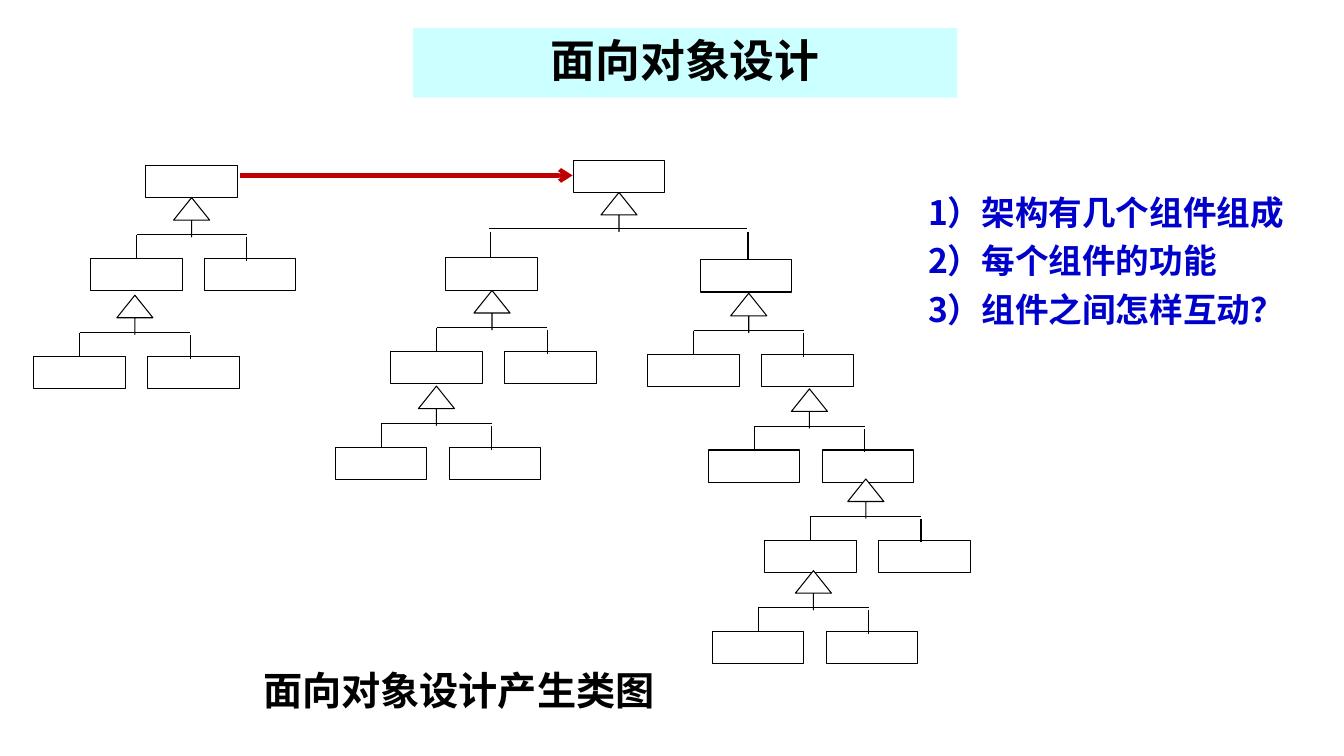
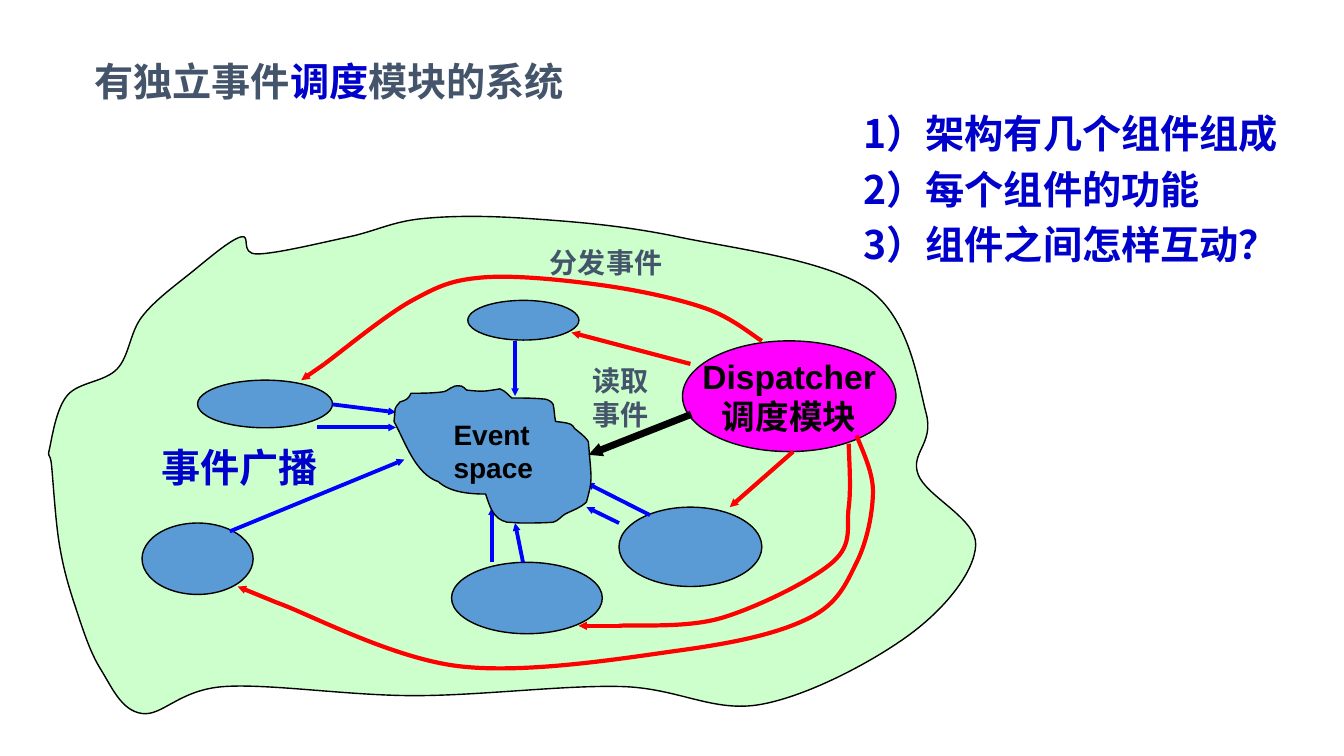
from lxml import etree
from pptx import Presentation
from pptx.dml.color import RGBColor
from pptx.enum.shapes import MSO_CONNECTOR, MSO_SHAPE
from pptx.enum.text import MSO_ANCHOR, PP_ALIGN
from pptx.oxml.ns import qn
from pptx.util import Cm, Pt

RECT, OVAL, ARROW = MSO_SHAPE.RECTANGLE, MSO_SHAPE.OVAL, MSO_SHAPE.UP_ARROW
LINE = MSO_CONNECTOR.STRAIGHT
TOP, MID = MSO_ANCHOR.TOP, MSO_ANCHOR.MIDDLE
LEFT, CENTER = PP_ALIGN.LEFT, PP_ALIGN.CENTER
LATIN, HAN = "Arial", "Noto Sans CJK SC"
BLACK, WHITE, NAVY, SLATE = "000000", "FFFFFF", "0000CC", "44546A"
CYAN, GREEN, SKY, PINK = "CCFFFF", "CCFFCC", "5B9BD5", "FF00FF"
RED, BLUE, DARK = "FF0000", "0000FF", "C00000"
ASKS = ["1）架构有几个组件组成", "2）每个组件的功能", "3）组件之间怎样互动？"]
BOX_W, BOX_H = 2.31, 0.81
TIP_W, TIP_H = 0.91, 0.99

# Each fork: bar height, bar ends, then per leg: x, start, child left, top
NEAR = (0.94, (-1.39, 1.39),
        [(-1.39, 0.94, -2.55, 1.54), (1.39, 1, 0.32, 1.54)])
WIDE = (0.91, (-3.28, 3.22),
        [(-3.23, 0.99, -4.37, 1.65), (3.25, 0.99, 2.05, 1.7)])
TREES = [
    (4.83, 4.17, NEAR, [(-1.43, 2.46)]),
    (15.6, 4.04, WIDE, [(-3.2, 2.47), (-4.6, 4.88), (3.27, 2.54),
                        (4.8, 4.95), (6.22, 7.22), (4.9, 9.53)]),
]
LAND = [(0.3, 6.73), (0.25, 6.3), (0.7, 4.96), (1.95, 4.3), (2.58, 2.98),
        (3.83, 1.86), (5.07, 0.97), (5.48, 1.4), (7.79, 0.97), (9.64, 0.51),
        (12.36, 0.51), (16.09, 0.97), (20.89, 2.29), (22.34, 5.41),
        (22.14, 6.96), (23.59, 8.74), (21.94, 10.98), (18.18, 12.75),
        (14.65, 12.3), (9.44, 12.53), (4.66, 12.3), (2.58, 12.98),
        (1.54, 11.87), (0.9, 10.29), (0.5, 8.74)]
CLOUD = [
    [(9.21, 6.13), (9.46, 6.94), (10.05, 7.14)],
    [(10.35, 7.42), (10.89, 7.45), (11.24, 7.45)],
    [(11.34, 7.75), (11.42, 8.08), (11.78, 8.16)],
    [(11.9, 8.16), (12.03, 8.18), (12.13, 8.18)],
    [(12.41, 8.18), (12.67, 8.18), (12.94, 8.16)],
    [(13.07, 8.13), (13.15, 8), (13.25, 7.95)],
    [(13.45, 7.85), (13.63, 7.8), (13.78, 7.65)],
    [(13.94, 7.07), (13.91, 7.14), (13.83, 6.15)],
    [(13.83, 6.07), (13.55, 5.85), (13.48, 5.8)],
    [(13.45, 5.77), (13.43, 5.69), (13.38, 5.69)],
    [(13.25, 5.64), (13.12, 5.64), (13, 5.62)],
    [(12.97, 5.46), (12.97, 5.31), (12.94, 5.19)],
    [(12.92, 5.13), (12.79, 5.06), (12.74, 5.06)],
    [(12.46, 5.03), (12.18, 5.03), (11.9, 5.03)],
    [(11.78, 4.93), (11.75, 4.86), (11.6, 4.8)],
    [(11.22, 4.86), (11.19, 4.88), (10.76, 4.83)],
    [(10.71, 4.8), (10.68, 4.73), (10.63, 4.73)],
    [(10.35, 4.68), (10.35, 4.86), (10.13, 4.88)],
    [(9.87, 4.91), (9.62, 4.91), (9.36, 4.91)],
    [(9.29, 5.06), (9.24, 5.08), (9.08, 5.13)],
    [(8.91, 5.34), (8.98, 5.21), (8.93, 5.62)],
]
PARTS = [(2.58, 8.18, 2.8, 1.8), (3.98, 4.58, 3.4, 1.2),
         (10.79, 2.57, 2.8, 1), (10.38, 9.17, 3.8, 1.8),
         (14.6, 7.78, 3.6, 2)]
SENDS = [((4.79, 8.39), (9.19, 6.58)), ((7, 5.77), (8.98, 5.77)),
         ((7.38, 5.19), (8.98, 5.39)), ((11.98, 3.59), (11.98, 4.98)),
         ((11.4, 9.17), (11.4, 7.78)), ((12.18, 9.17), (11.98, 8.18)),
         ((14.6, 8.18), (13.78, 7.78)), ((15.38, 7.98), (13.78, 7.17))]
CALLS = [((16.4, 4.17), (13.4, 3.38)), ((18.99, 6.38), (17.39, 7.78))]
LOOPS = [
    ([(20.39, 6.18), (20.39, 7.78), (19.98, 9.17), (17.19, 10.57),
      (14.6, 10.77)], (13.58, 10.77)),
    ([(20.59, 5.97), (21, 7.37), (20.59, 9.17), (19.4, 10.57),
      (16.2, 11.38), (10.58, 11.79), (5.99, 10.19)], (4.99, 9.78)),
    ([(18.2, 3.59), (16.78, 2.77), (14.19, 2.19), (11.19, 1.99),
      (9.39, 2.57), (7.18, 4.17)], (6.59, 4.58)),
]


def rgb(code):
    """Turn a hex string into a colour."""
    return RGBColor.from_string(code)


def paint(shape, fill, edge=BLACK, width=1):
    """Set fill and outline, where None leaves either out."""
    shape.shadow.inherit = False
    if fill:
        shape.fill.solid()
        shape.fill.fore_color.rgb = rgb(fill)
    else:
        shape.fill.background()
    if edge:
        shape.line.color.rgb = rgb(edge)
        shape.line.width = Pt(width)
    else:
        shape.line.fill.background()
    return shape


def draw(slide, kind, x, y, w, h, fill, edge=BLACK, width=1):
    """Add a preset shape."""
    shape = slide.shapes.add_shape(kind, Cm(x), Cm(y), Cm(w), Cm(h))
    return paint(shape, fill, edge, width)


def link(slide, start, end, color=BLACK, width=0.75, head=None, size="sm"):
    """Join two points by a line, with an arrowhead if one is named."""
    ends = [Cm(v) for v in (*start, *end)]
    wire = slide.shapes.add_connector(LINE, *ends)
    wire.line.color.rgb = rgb(color)
    wire.line.width = Pt(width)
    props = wire._element.spPr
    if head:
        etree.SubElement(props.find(qn("a:ln")), qn("a:tailEnd"),
                         type=head, w=size, len=size)
    etree.SubElement(props, qn("a:effectLst"))


def style(para, size, color, face):
    """Set the bold font of a paragraph for Latin and Han text."""
    font = para.font
    font.size, font.bold, font.name = Pt(size), True, face
    font.color.rgb = rgb(color)
    base = para._p.pPr.find(qn("a:defRPr"))
    etree.SubElement(base, qn("a:ea"), typeface=HAN)


def write(shape, lines, size, color, faces=HAN, align=LEFT, anchor=TOP,
          gap=0, wrap=True):
    """Fill a shape with paragraphs; a line may be a list of coloured runs."""
    frame = shape.text_frame
    frame.word_wrap, frame.vertical_anchor = wrap, anchor
    if isinstance(faces, str):
        faces = [faces] * len(lines)
    for i, (line, face) in enumerate(zip(lines, faces)):
        para = frame.add_paragraph() if i else frame.paragraphs[0]
        para.alignment = align
        if i and gap:
            para.space_before = Pt(gap)
        style(para, size, color, face)
        for text, tint in [(line, None)] if isinstance(line, str) else line:
            run = para.add_run()
            run.text = text
            if tint:
                run.font.color.rgb = rgb(tint)


def label(slide, x, y, w, h, lines, size, color, **more):
    """Add a text box."""
    box = slide.shapes.add_textbox(Cm(x), Cm(y), Cm(w), Cm(h))
    write(box, lines, size, color, **more)


def asks(slide, x, y, w, h, size):
    """List the three questions that both slides share."""
    label(slide, x, y, w, h, ASKS, size, NAVY, gap=6)


def smooth(knots, closed=False):
    """Give the cubic segments of a Catmull-Rom curve through knots."""
    if closed:
        ring = [knots[-1], *knots, *knots[:2]]
    else:
        ring = [knots[0], *knots, knots[-1]]
    return [[tuple(q + (r - p) / 6 for p, q, r in zip(a, b, c)),
             tuple(r - (s - q) / 6 for q, r, s in zip(b, c, d)), c]
            for a, b, c, d in zip(ring, ring[1:], ring[2:], ring[3:])]


def curve(slide, start, parts, fill=None, edge=BLACK, width=1):
    """Draw cubic segments from a start, closed when there is a fill."""
    pen = slide.shapes.build_freeform(*map(Cm, start))
    pen.add_line_segments([tuple(map(Cm, part[-1])) for part in parts],
                          close=bool(fill))
    shape = paint(pen.convert_to_shape(), fill, edge, width)
    steps = list(shape._element.iter(qn("a:lnTo")))
    for step, part in zip(steps, parts):
        bend = etree.Element(qn("a:cubicBezTo"))
        for x, y in part:
            etree.SubElement(bend, qn("a:pt"), x=str(Cm(x) - shape.left),
                             y=str(Cm(y) - shape.top))
        step.getparent().replace(step, bend)


def node(slide, x, y):
    """Draw one class box."""
    draw(slide, RECT, x, y, BOX_W, BOX_H, WHITE, width=0.75)


def fork(slide, x, y, plan=NEAR):
    """Draw a triangle with its tip at x, y, and two child boxes below."""
    bar, (west, east), legs = plan
    link(slide, (x + west, y + bar), (x + east, y + bar))
    for leg, start, left, top in legs:
        node(slide, x + left, y + top)
        link(slide, (x + leg, y + start),
             (x + leg, y + max(top, start + 0.6)))
    tip = draw(slide, ARROW, x - TIP_W / 2, y, TIP_W, TIP_H, WHITE, width=0.75)
    tip.adjustments[0], tip.adjustments[1] = 0, 0.625


def tree(slide, x, y, plan, forks):
    """Draw a class tree whose root box has its top centre at x, y."""
    node(slide, x - BOX_W / 2, y)
    base = y + BOX_H
    fork(slide, x, base, plan)
    for dx, dy in forks:
        fork(slide, x + dx, base + dy)


def event_map(slide, x, y):
    """Draw the event system with its origin at x, y."""
    def at(spot):
        return x + spot[0], y + spot[1]

    def put(spots):
        return [at(spot) for spot in spots]

    curve(slide, at(LAND[0]), smooth(put(LAND), True), GREEN)
    for dx, dy, w, h in PARTS:
        draw(slide, OVAL, x + dx, y + dy, w, h, SKY)
    hub = draw(slide, OVAL, x + 16.2, y + 3.59, 5.38, 2.79, PINK)
    write(hub, ["Dispatcher", "调度模块"], 24, BLACK, faces=[LATIN, HAN],
          align=CENTER, anchor=MID, wrap=False)
    for start, end in SENDS:
        link(slide, at(start), at(end), BLUE, 2.75, "triangle")
    curve(slide, at(CLOUD[-1][-1]), [put(part) for part in CLOUD], SKY)
    link(slide, at((16.42, 5.44)), at((13.83, 6.46)), BLACK, 5, "triangle")
    for start, end in CALLS:
        link(slide, at(start), at(end), RED, 3, "triangle")
    for knots, end in LOOPS:
        group = slide.shapes.add_group_shape()
        curve(group, at(knots[0]), smooth(put(knots)), edge=RED, width=3)
        link(group, at(knots[-1]), at(end), RED, 3, "triangle")
    label(slide, x + 10.18, y + 5.39, 2.8, 1.96, ["Event space"], 20, BLACK,
          faces=LATIN)
    label(slide, x + 2.81, y + 6.05, 4.6, 1.45, ["事件广播"], 28, NAVY,
          faces=LATIN)
    label(slide, x + 13.68, y + 4.04, 1.93, 1.96, ["读取", "事件"], 20, SLATE,
          faces=LATIN, wrap=False)
    label(slide, x + 12.61, y + 1.05, 3.81, 1.09, ["分发事件"], 20, SLATE,
          faces=LATIN)


def class_slide(slide):
    """Build the slide on object-oriented design."""
    for spot in TREES:
        tree(slide, *spot)
    link(slide, (6.05, 4.42), (14.43, 4.42), DARK, 3, "arrow", "med")
    label(slide, 6.38, 16.66, 11.35, 1.45, ["面向对象设计产生类图"], 28, BLACK)
    band = draw(slide, RECT, 10.41, 0.71, 13.72, 1.75, CYAN, None)
    write(band, ["面向对象设计"], 32, BLACK, align=CENTER, anchor=MID)
    band.text_frame.paragraphs[0].line_spacing = 0.9
    asks(slide, 23.14, 4.7, 9.86, 3.76, 24)


def event_slide(slide):
    """Build the slide on event dispatch."""
    title = [("有独立事件", None), ("调度", NAVY), ("模块的系统", None)]
    label(slide, 2.13, 1.19, 13.36, 1.68, [title], 28, SLATE, anchor=MID)
    event_map(slide, 1, 5)
    asks(slide, 21.51, 2.64, 11.3, 4.27, 28)


def main():
    """Build and save the deck."""
    deck = Presentation()
    deck.slide_width, deck.slide_height = Cm(33.87), Cm(19.05)
    for build in (class_slide, event_slide):
        build(deck.slides.add_slide(deck.slide_layouts[6]))
    deck.save("out.pptx")


if __name__ == "__main__":
    main()
